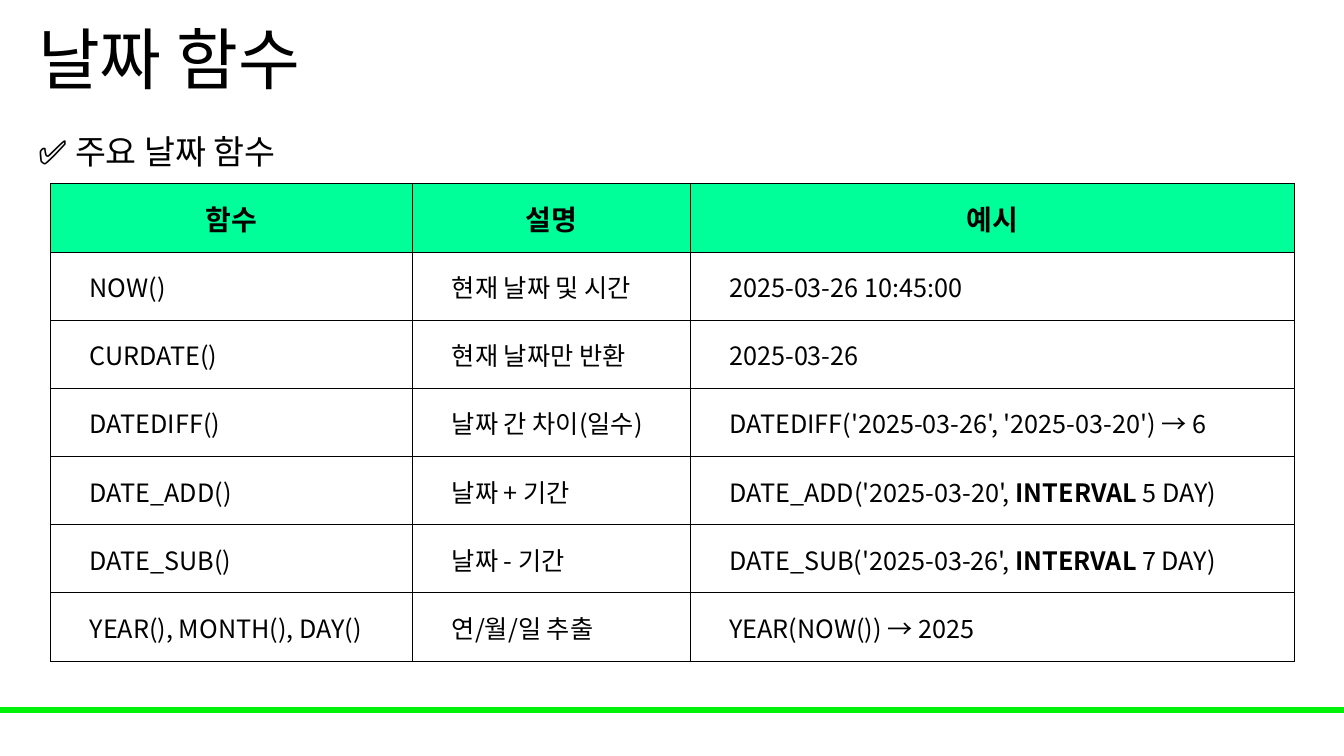
from lxml.etree import SubElement as Sub
from pptx import Presentation
from pptx.dml.color import RGBColor
from pptx.enum.shapes import MSO_SHAPE as Shape
from pptx.enum.text import MSO_ANCHOR as Anchor, PP_ALIGN as Align
from pptx.oxml.ns import qn
from pptx.util import Inches, Pt

BLACK = RGBColor(0x00, 0x00, 0x00)
GREEN = RGBColor(0x00, 0xF2, 0x09)
MINT = RGBColor(0x00, 0xFF, 0x99)

HEAD = ["함수", "설명", "예시"]
ROWS = [
    ["NOW()", "현재 날짜 및 시간", "2025-03-26 10:45:00"],
    ["CURDATE()", "현재 날짜만 반환", "2025-03-26"],
    ["DATEDIFF()", "날짜 간 차이(일수)", "DATEDIFF('2025-03-26', '2025-03-20') → 6"],
    ["DATE_ADD()", "날짜 + 기간", "DATE_ADD('2025-03-20', INTERVAL 5 DAY)"],
    ["DATE_SUB()", "날짜 - 기간", "DATE_SUB('2025-03-26', INTERVAL 7 DAY)"],
    ["YEAR(), MONTH(), DAY()", "연/월/일 추출", "YEAR(NOW()) → 2025"],
]
KEY = "INTERVAL"


def apply(item, form):
    for name, value in form.items():
        setattr(item, name, value)


class Page:
    """Places elements by percent of the slide's width and height."""

    face = "Noto Sans CJK KR"

    def __init__(self, deck):
        self.wide, self.high = deck.slide_width, deck.slide_height
        self.shapes = deck.slides.add_slide(deck.slide_layouts[6]).shapes

    def x(self, share):
        return round(self.wide * share / 100)

    def y(self, share):
        return round(self.high * share / 100)

    def area(self, left, top, wide, high):
        return self.x(left), self.y(top), self.x(wide), self.y(high)

    def run(self, para, text, size, bold=False):
        run = para.add_run()
        run.text = text
        apply(run.font, {"name": self.face, "size": Pt(size), "bold": bold})
        run.font.color.rgb = BLACK
        Sub(run.font._element, qn("a:ea"), typeface=self.face)

    def bar(self, area, color):
        bar = self.shapes.add_shape(Shape.RECTANGLE, *self.area(*area))
        bar.shadow.inherit = False
        bar.fill.solid()
        bar.fill.fore_color.rgb = color
        bar.line.color.rgb = color
        bar.line.width = Pt(1)

    def text(self, area, text, size, lead, anchor=Anchor.TOP):
        frame = self.shapes.add_textbox(*self.area(*area)).text_frame
        apply(frame, {"word_wrap": True, "vertical_anchor": anchor})
        para = frame.paragraphs[0]
        para.line_spacing = lead
        self.run(para, text, size)

    def edge(self, cell):
        props = cell._tc.get_or_add_tcPr()
        for side in ("lnL", "lnR", "lnT", "lnB"):
            line = Sub(props, qn(f"a:{side}"), w=str(Pt(0.5)))
            fill = Sub(line, qn("a:solidFill"))
            Sub(fill, qn("a:srgbClr"), val=str(BLACK))

    def cell(self, cell, text, head):
        apply(cell, {
            "vertical_anchor": Anchor.MIDDLE,
            "margin_left": Inches(0.01 if head else 0.39),
            "margin_right": Inches(0.01),
            "margin_top": Inches(0.01),
            "margin_bottom": 0,
        })
        self.edge(cell)
        if head:
            cell.fill.solid()
            cell.fill.fore_color.rgb = MINT
        else:
            cell.fill.background()
        para = cell.text_frame.paragraphs[0]
        para.alignment = Align.CENTER if head else Align.LEFT
        for part in filter(None, text.partition(KEY)):
            self.run(para, part, 20 if head else 18, head or part == KEY)

    def table(self, left, top, cols, row, data):
        area = self.area(left, top, sum(cols), row * len(data))
        table = self.shapes.add_table(len(data), len(cols), *area).table
        apply(table, {"first_row": False, "horz_banding": False})
        for col, wide in zip(table.columns, cols):
            col.width = self.x(wide)
        for r, texts in enumerate(data):
            table.rows[r].height = self.y(row)
            for c, text in enumerate(texts):
                self.cell(table.cell(r, c), text, r == 0)


def main():
    deck = Presentation()
    apply(deck, {"slide_width": Inches(13.33), "slide_height": Inches(7.5)})
    page = Page(deck)

    # Footer bar
    page.bar((0, 93.6, 100, 0.67), GREEN)

    # Title and subtitle
    page.text((2.1, 0, 86.25, 16.67), "날짜 함수", 48, 0.9, Anchor.MIDDLE)
    page.text((2.1, 14, 50.2, 8.5), "✅ 주요 날짜 함수", 24, 1.5)

    # Function table
    page.table(3.75, 24.3, [26.95, 20.65, 44.95], 9.02, [HEAD] + ROWS)

    deck.save("out.pptx")


if __name__ == "__main__":
    main()
